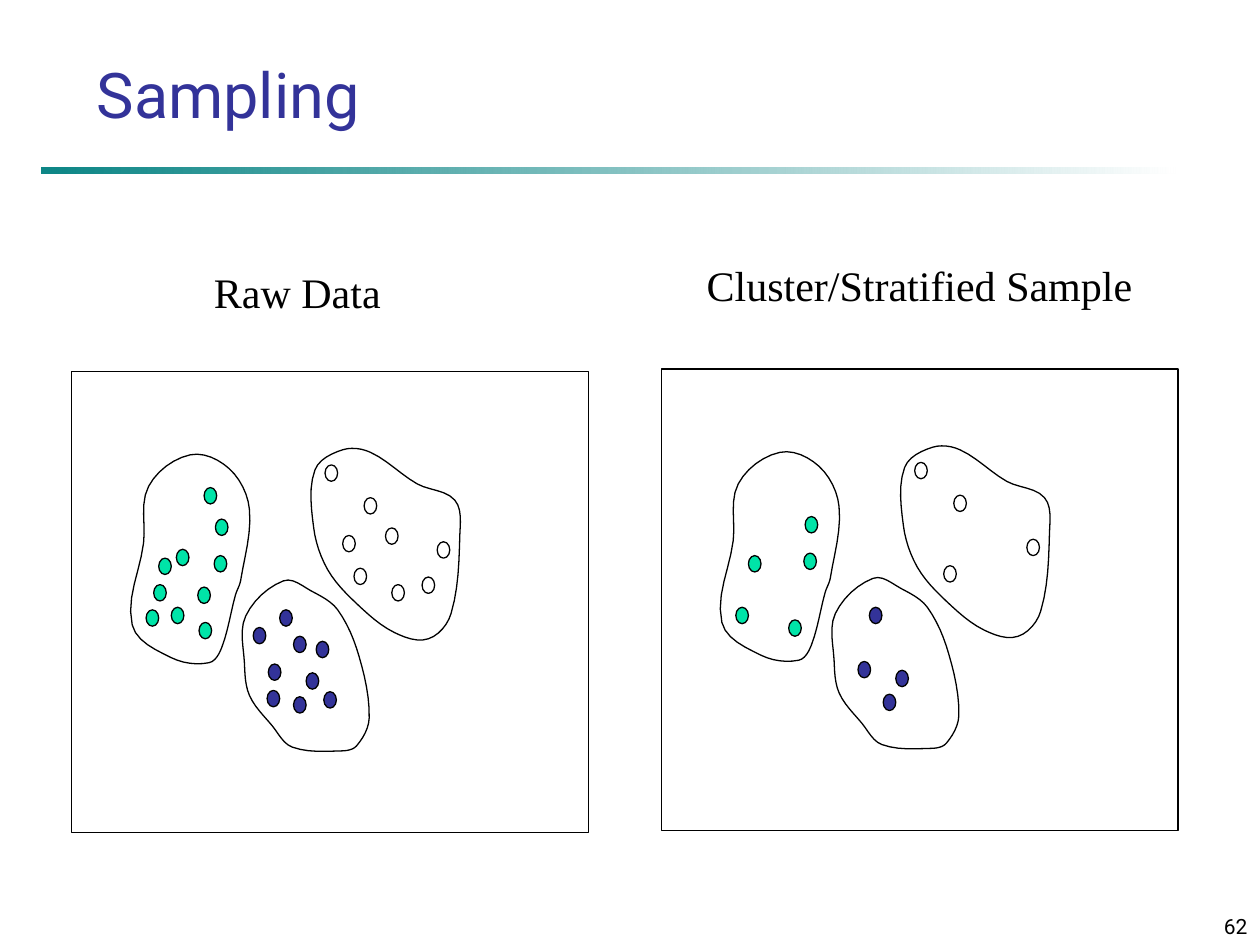
from dataclasses import dataclass

from lxml import etree
from pptx import Presentation
from pptx.dml.color import RGBColor
from pptx.enum.shapes import MSO_SHAPE
from pptx.enum.text import MSO_ANCHOR, MSO_AUTO_SIZE, PP_ALIGN
from pptx.oxml.ns import qn
from pptx.util import Pt

PX = 9144  # EMU per px, 100 px to the inch

RECTANGLE = MSO_SHAPE.RECTANGLE
DOT = MSO_SHAPE.FLOWCHART_CONNECTOR
TOP, BOTTOM = MSO_ANCHOR.TOP, MSO_ANCHOR.BOTTOM
LEFT, RIGHT = PP_ALIGN.LEFT, PP_ALIGN.RIGHT
GROW, FIXED = MSO_AUTO_SIZE.SHAPE_TO_FIT_TEXT, MSO_AUTO_SIZE.NONE

BLACK = RGBColor(0x00, 0x00, 0x00)
WHITE = RGBColor(0xFF, 0xFF, 0xFF)
INDIGO = RGBColor(0x33, 0x33, 0x99)
GREEN = RGBColor(0x00, 0xE4, 0xA8)
TEAL = RGBColor(0x00, 0x80, 0x80)

SANS, SERIF = "Roboto", "Times New Roman"
DOT_SIZE = (10, 13)
FRAME = (57, 295, 410, 366)
CURVE_STEPS = 6

Point = tuple[int, int]


@dataclass(frozen=True)
class Cluster:
    """A group of data points inside a smooth closed outline."""
    color: RGBColor
    sampled: list[Point]
    unsampled: list[Point]
    outline: list[Point]


@dataclass(frozen=True)
class Label:
    text: str
    box: tuple[int, int, int, int]
    size: int
    font: str
    color: RGBColor = BLACK
    align: PP_ALIGN = LEFT
    anchor: MSO_ANCHOR = TOP
    wrap: bool = True


@dataclass(frozen=True)
class Panel:
    offset: Point
    sample_only: bool


CLUSTERS = [
    Cluster(
        WHITE,
        [(289, 395), (281, 451), (347, 430), (258, 369)],
        [(306, 419), (272, 425), (335, 458), (311, 464)],
        [(361, 397), (365, 424), (358, 487), (340, 507), (313, 502), (283, 479),
         (260, 452), (249, 419), (250, 373), (272, 357), (294, 359), (331, 384)],
    ),
    Cluster(
        INDIGO,
        [(233, 553), (243, 534), (213, 527), (222, 484)],
        [(201, 498), (251, 509), (212, 548), (233, 505), (257, 549)],
        [(216, 576), (198, 552), (194, 526), (195, 489), (225, 461), (247, 469),
         (268, 484), (285, 521), (293, 570), (283, 592), (271, 596), (232, 593)],
    ),
    Cluster(
        GREEN,
        [(116, 484), (126, 443), (158, 494), (170, 441), (171, 412)],
        [(136, 482), (122, 464), (157, 466), (140, 436), (162, 387)],
        [(187, 472), (176, 514), (166, 526), (136, 522), (105, 496), (114, 431),
         (118, 386), (151, 361), (182, 372), (198, 404), (191, 461)],
    ),
]

PANELS = [Panel((0, 0), sample_only=False), Panel((468, -2), sample_only=True)]

LABELS = [
    Label("Sampling", (67, 42, 852, 67), 36, SANS, INDIGO, anchor=BOTTOM),
    Label("Raw Data", (160, 207, 160, 50), 24, SERIF, wrap=False),
    Label("Cluster/Stratified Sample", (551, 201, 358, 50), 24, SERIF, wrap=False),
    Label("62", (792, 708, 208, 42), 12, SANS, align=RIGHT, anchor=BOTTOM),
]


def emu(*lengths: int) -> list[int]:
    return [length * PX for length in lengths]


def style(shape, color: RGBColor | None = None) -> None:
    """Give the shape a thin black line and a plain fill, or none."""
    shape.shadow.inherit = False
    shape.line.color.rgb = BLACK
    shape.line.width = Pt(0.75)
    if color is None:
        shape.fill.background()
    else:
        shape.fill.solid()
        shape.fill.fore_color.rgb = color


def smooth(outline: list[Point]) -> list[complex]:
    """Round the closed outline with Bezier curves, cut into short straight steps."""
    anchors = [complex(*point) for point in outline]
    count = len(anchors)
    directions = []
    for i in range(count):
        chord = anchors[(i + 1) % count] - anchors[i - 1]
        directions.append(chord / abs(chord))
    points = []
    for i, start in enumerate(anchors):
        following = (i + 1) % count
        end = anchors[following]
        reach = abs(end - start) / 3
        leaving = start + directions[i] * reach
        arriving = end - directions[following] * reach
        for step in range(CURVE_STEPS):
            t = step / CURVE_STEPS
            points.append((1 - t) ** 3 * start + 3 * t * (1 - t) ** 2 * leaving
                          + 3 * t * t * (1 - t) * arriving + t ** 3 * end)
    return points


def draw_panel(slide, panel: Panel) -> None:
    shapes = slide.shapes.add_group_shape().shapes
    dx, dy = panel.offset
    left, top, width, height = FRAME
    style(shapes.add_shape(RECTANGLE, *emu(left + dx, top + dy, width, height)))
    for cluster in CLUSTERS:
        dots = cluster.sampled + ([] if panel.sample_only else cluster.unsampled)
        for x, y in dots:
            style(shapes.add_shape(DOT, *emu(x + dx, y + dy, *DOT_SIZE)), cluster.color)
        start, *rest = [(round((point.real + dx) * PX), round((point.imag + dy) * PX))
                        for point in smooth(cluster.outline)]
        builder = shapes.build_freeform(*start)
        builder.add_line_segments(rest, close=True)
        style(builder.convert_to_shape())


def draw_label(slide, label: Label) -> None:
    frame = slide.shapes.add_textbox(*emu(*label.box)).text_frame
    frame.word_wrap = label.wrap
    frame.auto_size = FIXED if label.wrap else GROW
    frame.vertical_anchor = label.anchor
    paragraph = frame.paragraphs[0]
    paragraph.text = label.text
    paragraph.alignment = label.align
    paragraph.font.name = label.font
    paragraph.font.size = Pt(label.size)
    paragraph.font.color.rgb = label.color


def draw_title_rule(slide) -> None:
    rule = slide.shapes.add_shape(RECTANGLE, *emu(33, 133, 900, 5))
    rule.shadow.inherit = False
    rule.line.fill.background()
    rule.fill.gradient()
    rule.fill.gradient_angle = 0
    for stop, position, color in zip(rule.fill.gradient_stops, (0, 1), (TEAL, WHITE)):
        stop.position = position
        stop.color.rgb = color
    teal = rule._element.xpath(".//a:gs[1]/a:srgbClr")[0]
    etree.SubElement(teal, qn("a:alpha")).set("val", "95000")


def main() -> None:
    presentation = Presentation()
    presentation.slide_width, presentation.slide_height = emu(1000, 750)
    slide = presentation.slides.add_slide(presentation.slide_layouts[6])
    draw_title_rule(slide)
    for panel in PANELS:
        draw_panel(slide, panel)
    for label in LABELS:
        draw_label(slide, label)
    presentation.save("out.pptx")


if __name__ == "__main__":
    main()
